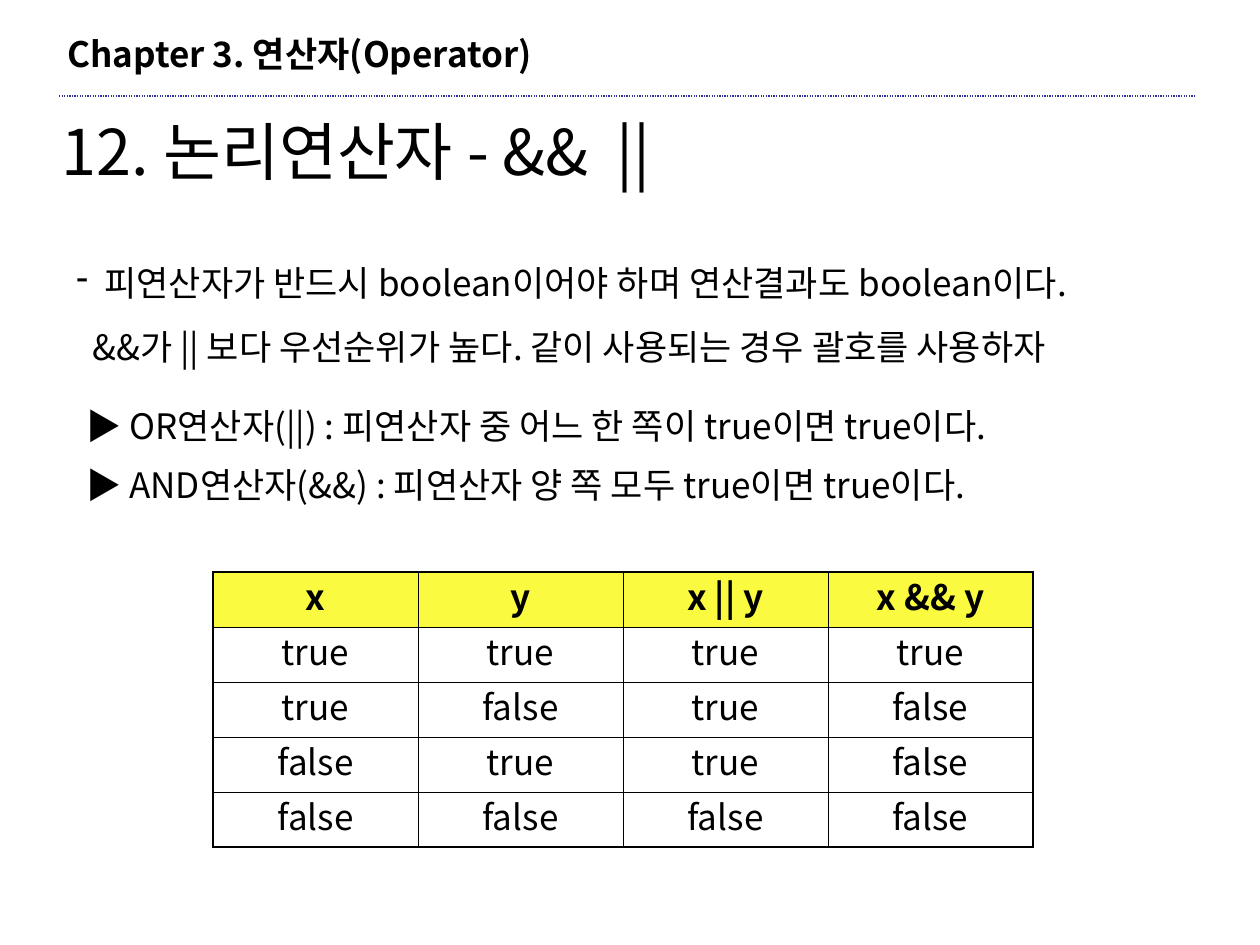
from lxml.etree import SubElement
from pptx import Presentation
from pptx.dml.color import RGBColor
from pptx.enum.dml import MSO_LINE
from pptx.enum.shapes import MSO_CONNECTOR
from pptx.enum.text import MSO_ANCHOR, MSO_AUTO_SIZE, PP_ALIGN
from pptx.oxml import parse_xml
from pptx.oxml.ns import nsdecls, qn
from pptx.util import Pt

# Content
CHAPTER = "Chapter 3. 연산자(Operator)"
TITLE = "12. 논리연산자 - &&  ||"
RULES = [
    "피연산자가 반드시 boolean이어야 하며 연산결과도 boolean이다.",
    "&&가 || 보다 우선순위가 높다. 같이 사용되는 경우 괄호를 사용하자",
]
OPERATORS = [
    "▶ OR연산자(||) : 피연산자 중 어느 한 쪽이 true이면 true이다.",
    "▶ AND연산자(&&) : 피연산자 양 쪽 모두 true이면 true이다.",
]
TRUTH_TABLE = [
    ("x", "y", "x || y", "x && y"),
    ("true", "true", "true", "true"),
    ("true", "false", "true", "false"),
    ("false", "true", "true", "false"),
    ("false", "false", "false", "false"),
]

# Style
FONT = "Noto Sans CJK KR"
COLORS = {"text": "000000", "rule": "2F2F98", "header": "FAFA40"}
BODY_SIZE, TITLE_SIZE = 20, 36
LINE_FACTOR = 1.2
OUTER_BORDER, INNER_BORDER = 1.08, 0.45
EMU_PER_PX = 914400 / 126


def px(length):
    return round(length * EMU_PER_PX)


def color(name):
    return RGBColor.from_string(COLORS[name])


def style_paragraph(paragraph, size=BODY_SIZE, bold=False, before=0, align=PP_ALIGN.LEFT):
    paragraph.alignment = align
    paragraph.space_before = Pt(before)
    paragraph.line_spacing = Pt(LINE_FACTOR * size)
    font = paragraph.font
    font.name, font.size, font.bold = FONT, Pt(size), bold
    font.color.rgb = color("text")
    properties = paragraph._p.get_or_add_pPr().find(qn("a:defRPr"))
    SubElement(properties, qn("a:ea"), typeface=FONT)


def fill_text(shape, lines, box, **style):
    shape.left, shape.top, shape.width, shape.height = map(px, box)
    frame = shape.text_frame
    frame.word_wrap = True
    frame.auto_size = MSO_AUTO_SIZE.NONE
    frame.vertical_anchor = MSO_ANCHOR.TOP
    for index, line in enumerate(lines):
        paragraph = frame.add_paragraph() if index else frame.paragraphs[0]
        paragraph.text = line
        style_paragraph(paragraph, **style)
    return frame.paragraphs


def add_text(slide, lines, box, **style):
    return fill_text(slide.shapes.add_textbox(0, 0, 0, 0), lines, box, **style)


def set_borders(cell, widths):
    properties = cell._tc.get_or_add_tcPr()
    for index, (side, width) in enumerate(widths.items()):
        properties.insert(index, parse_xml(
            f'<a:ln{side} {nsdecls("a")} w="{Pt(width)}"><a:solidFill>'
            f'<a:srgbClr val="{COLORS["text"]}"/></a:solidFill></a:ln{side}>'))


def add_truth_table(slide, left, top, column_width, row_height):
    rows, columns = len(TRUTH_TABLE), len(TRUTH_TABLE[0])
    table = slide.shapes.add_table(
        rows, columns, px(left), px(top),
        px(columns * column_width), px(rows * row_height)).table
    table.first_row = table.horz_banding = False
    for column in table.columns:
        column.width = px(column_width)
    for r, values in enumerate(TRUTH_TABLE):
        table.rows[r].height = px(row_height)
        for c, value in enumerate(values):
            cell = table.cell(r, c)
            cell.text = value
            style_paragraph(cell.text_frame.paragraphs[0], bold=r == 0,
                            before=5, align=PP_ALIGN.CENTER)
            if r == 0:
                cell.fill.solid()
                cell.fill.fore_color.rgb = color("header")
            else:
                cell.fill.background()
            outer = {"L": c == 0, "R": c == columns - 1,
                     "T": r == 0, "B": r == rows - 1}
            set_borders(cell, {side: OUTER_BORDER if edge else INNER_BORDER
                               for side, edge in outer.items()})


def main():
    deck = Presentation()
    deck.slide_width, deck.slide_height = px(1260), px(945)
    slide = deck.slides.add_slide(deck.slide_layouts[5])

    # Chapter heading and dotted rule
    rule = slide.shapes.add_connector(
        MSO_CONNECTOR.STRAIGHT, px(59), px(96), px(1196), px(96))
    rule.line.color.rgb = color("rule")
    rule.line.width = Pt(0.75)
    rule.line.dash_style = MSO_LINE.ROUND_DOT
    SubElement(rule._element.spPr, qn("a:effectLst"))
    add_text(slide, [CHAPTER], (55, 26, 525, 55), bold=True)

    # Title
    fill_text(slide.shapes.title, [TITLE], (49, 106, 1191, 88), size=TITLE_SIZE)

    # Rules: dash on the first line, plain indent on the second
    dashed, indented = add_text(slide, RULES, (64, 255, 1196, 118), before=12.5)
    dash_properties = dashed._p.get_or_add_pPr()
    dash_properties.set("marL", str(px(28)))
    dash_properties.set("indent", str(-px(28)))
    dash_properties.find(qn("a:defRPr")).addprevious(
        parse_xml(f'<a:buChar {nsdecls("a")} char="-"/>'))
    indented._p.get_or_add_pPr().set("marL", str(px(16)))

    # Operators
    for index, operator in enumerate(OPERATORS):
        add_text(slide, [operator], (74, 398 + 59 * index, 1176, 55))

    add_truth_table(slide, left=213, top=572, column_width=205, row_height=55)
    deck.save("out.pptx")


if __name__ == "__main__":
    main()
